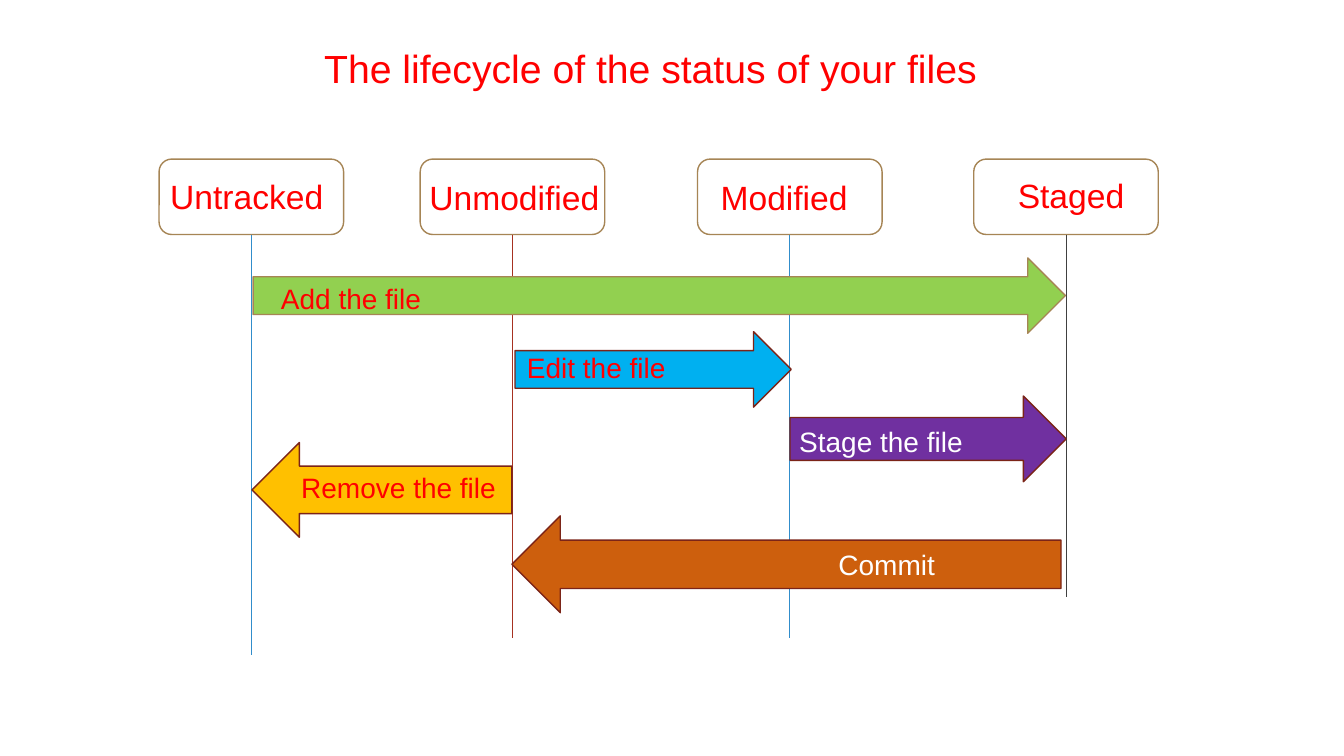
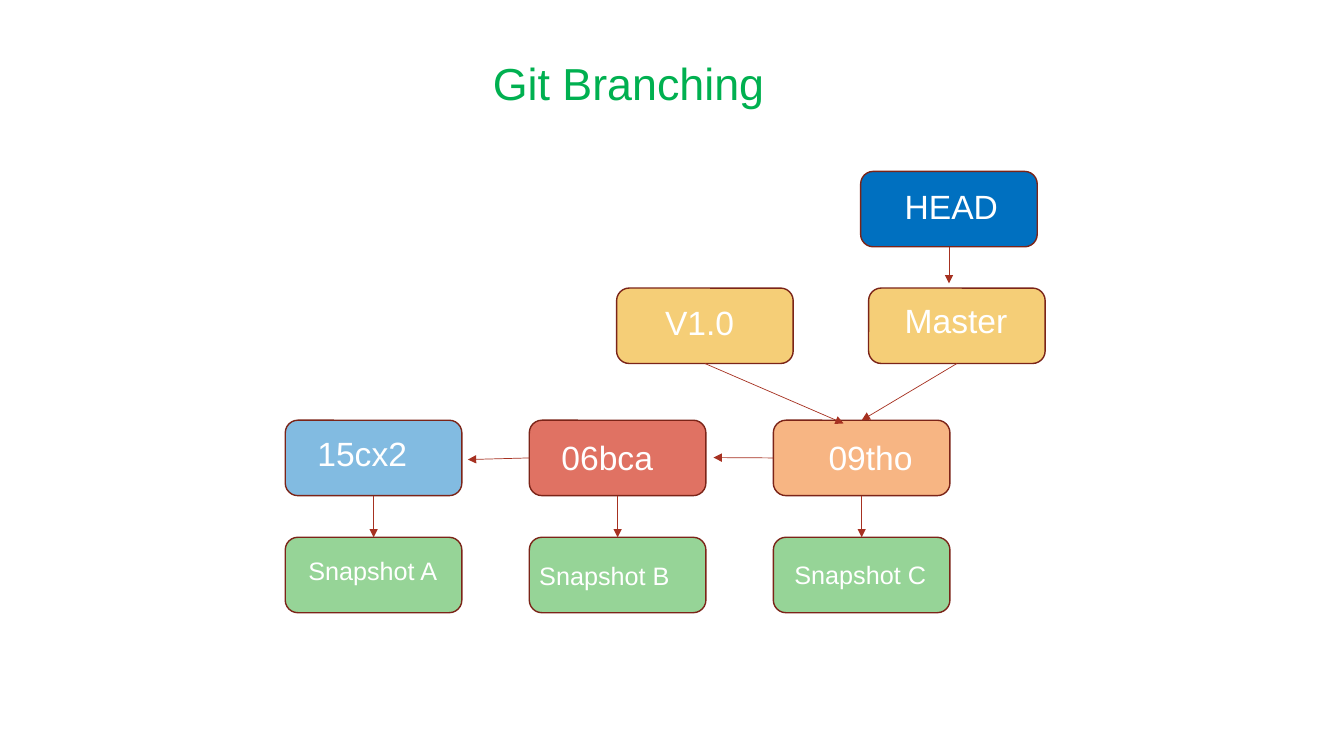
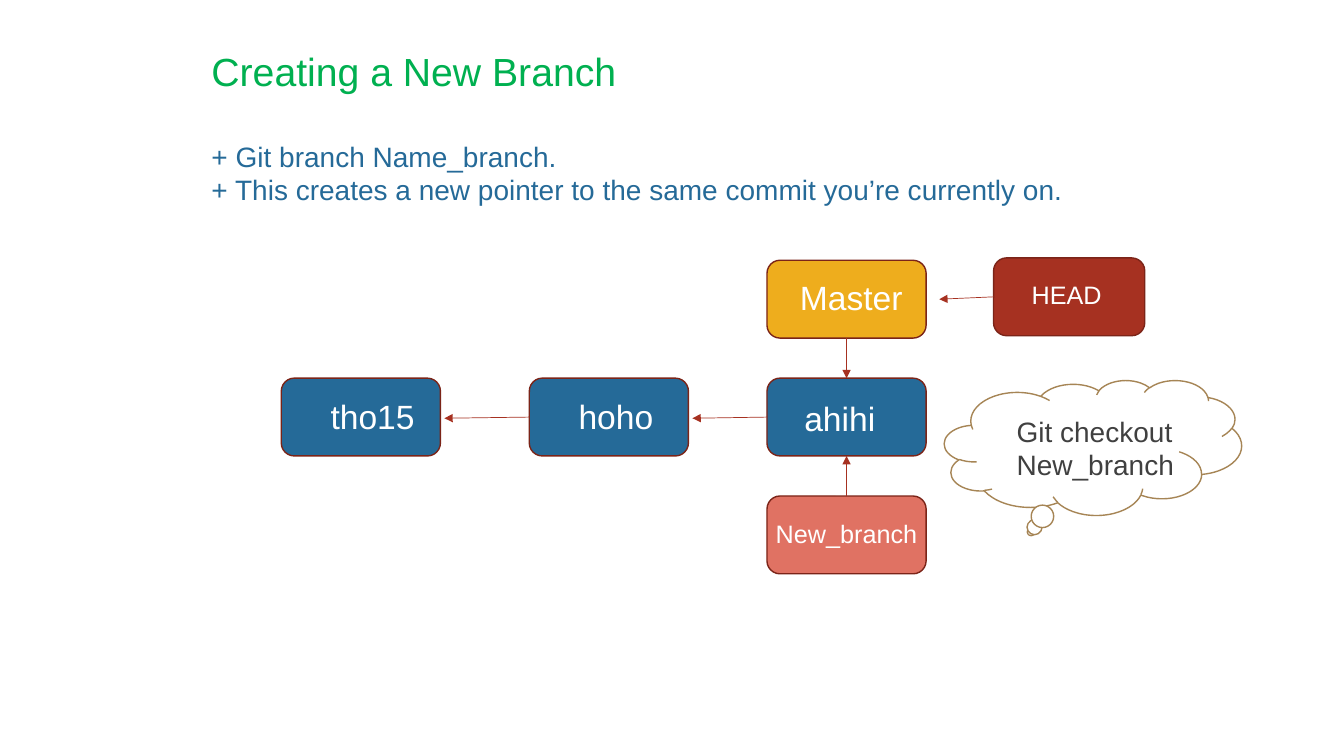
from dataclasses import dataclass

from lxml.etree import SubElement
from pptx import Presentation
from pptx.dml.color import RGBColor
from pptx.enum.shapes import MSO_CONNECTOR, MSO_SHAPE
from pptx.enum.text import MSO_AUTO_SIZE
from pptx.oxml.ns import qn
from pptx.slide import Slide
from pptx.util import Cm, Pt

FONT = "Arial"
WHITE, RED, GREEN, GREY = "FFFFFF", "FF0000", "00B050", "404040"
BLUE, SKY, BRICK = "256A98", "318DCB", "A63121"
CORAL, MINT, SAND = "E07263", "96D497", "F5CE77"
MAROON_EDGE, TAN_EDGE = "7B2418", "A68555"

Point = tuple[float, float]


@dataclass
class Box:
    """A rounded box in centimetres; its label is offset from the box corner."""
    label: str
    x: float
    y: float
    fill: str
    label_dx: float
    label_dy: float
    size: int = 24
    width: float = 4.45
    height: float = 1.9
    edge: str = MAROON_EDGE
    color: str = WHITE
    label_width: float = 0

    @property
    def top(self) -> Point:
        return self.x + self.width / 2, self.y

    @property
    def bottom(self) -> Point:
        return self.x + self.width / 2, self.y + self.height

    @property
    def left(self) -> Point:
        return self.x, self.y + self.height / 2


@dataclass
class BlockArrow:
    label: str
    x: float
    y: float
    width: float
    height: float
    fill: str
    label_x: float
    label_y: float
    color: str = RED
    kind: MSO_SHAPE = MSO_SHAPE.RIGHT_ARROW
    edge: str = MAROON_EDGE


def rgb(value: str) -> RGBColor:
    return RGBColor.from_string(value)


def add_text(page: Slide, lines: list[str], x: float, y: float, width: float,
             size: int, color: str, rows: int = 0) -> None:
    """Rows is the number of lines shown, when wrapping adds some."""
    height = 0.25 + (rows or len(lines)) * size * 0.0425
    frame = page.shapes.add_textbox(Cm(x), Cm(y), Cm(width), Cm(height)).text_frame
    frame.word_wrap = True
    frame.auto_size = MSO_AUTO_SIZE.SHAPE_TO_FIT_TEXT
    font_format = {"name": FONT, "size": Pt(size)}
    for index, line in enumerate(lines):
        para = frame.add_paragraph() if index else frame.paragraphs[0]
        span = para.add_run()
        span.text = line
        for name, value in font_format.items():
            setattr(span.font, name, value)
        span.font.color.rgb = rgb(color)


def add_title(page: Slide, text: str, x: float, y: float, width: float,
              color: str = GREEN, size: int = 28) -> None:
    add_text(page, [text], x, y, width, size, color)


def add_outlined(page: Slide, kind: MSO_SHAPE, x: float, y: float, width: float,
                 height: float, fill: str, edge: str) -> None:
    shape = page.shapes.add_shape(kind, Cm(x), Cm(y), Cm(width), Cm(height))
    shape.shadow.inherit = False
    shape.fill.solid()
    shape.fill.fore_color.rgb = rgb(fill)
    shape.line.color.rgb = rgb(edge)
    shape.line.width = Pt(1)


def add_boxes(page: Slide, boxes: list[Box]) -> None:
    for box in boxes:
        add_outlined(page, MSO_SHAPE.ROUNDED_RECTANGLE, box.x, box.y,
                     box.width, box.height, box.fill, box.edge)
    for box in boxes:
        add_text(page, [box.label], box.x + box.label_dx, box.y + box.label_dy,
                 box.label_width or box.width, box.size, box.color)


def add_line(page: Slide, start: Point, end: Point, color: str = BRICK,
             arrow: bool = True) -> None:
    line = page.shapes.add_connector(MSO_CONNECTOR.STRAIGHT, *map(Cm, start + end))
    line.line.color.rgb = rgb(color)
    line.line.width = Pt(0.5)
    properties = line._element.spPr
    if arrow:
        SubElement(properties.find(qn("a:ln")), qn("a:tailEnd"), type="triangle")
    SubElement(properties, qn("a:effectLst"))


def draw_lifecycle(page: Slide) -> None:
    add_title(page, "The lifecycle of the status of your files", 7.92, 0.99, 17.98, RED)
    states = [
        Box(label, x, 4.01, WHITE, dx, dy, width=4.65, edge=TAN_EDGE, color=RED,
            label_width=label_width)
        for label, x, dx, dy, label_width in [
            ("Untracked", 4.01, 0.03, 0.31, 4.65),
            ("Unmodified", 10.59, -0.02, 0.33, 5.08),
            ("Modified", 17.58, 0.33, 0.33, 4.65),
            ("Staged", 24.54, 0.86, 0.28, 4.65),
        ]
    ]
    add_boxes(page, states)
    lifelines = [(SKY, 16.51), (BRICK, 16.08), (SKY, 16.08), (GREY, 15.04)]
    for state, (color, end_y) in zip(states, lifelines):
        add_line(page, state.bottom, (state.bottom[0], end_y), color, arrow=False)

    steps = [
        BlockArrow("Add the file", 6.38, 6.5, 20.47, 1.9, "92D050", 6.83, 6.96,
                   edge=TAN_EDGE),
        BlockArrow("Edit the file", 12.98, 8.36, 6.96, 1.9, "00B0F0", 13.03, 8.71),
        BlockArrow("Stage the file", 19.91, 9.98, 6.96, 2.16, "7030A0", 19.89, 10.57,
                   WHITE),
        BlockArrow("Remove the file", 6.35, 11.15, 6.55, 2.39, "FFC000", 7.34, 11.73,
                   kind=MSO_SHAPE.LEFT_ARROW),
        BlockArrow("Commit", 12.9, 13, 13.84, 2.44, "CD5F0D", 20.88, 13.67,
                   WHITE, MSO_SHAPE.LEFT_ARROW),
    ]
    for step in steps:
        add_outlined(page, step.kind, step.x, step.y, step.width, step.height,
                     step.fill, step.edge)
    for step in steps:
        add_text(page, [step.label], step.label_x, step.label_y, 6.63, 20, step.color)


def draw_branching(page: Slide) -> None:
    add_title(page, "Git Branching", 12.17, 1.27, 9.52, size=32)
    columns = [7.19 + 6.15 * index for index in range(3)]
    commit_y, snapshot_y, pointer_y = 10.59, 13.54, 7.26
    commits = [
        Box(label, x, commit_y, fill, dx, dy)
        for x, (label, fill, dx, dy) in zip(columns, [
            ("15cx2", "82BBE1", 0.56, 0.2),
            ("06bca", CORAL, 0.56, 0.3),
            ("09tho", "F7B583", 1.14, 0.3),
        ])
    ]
    snapshots = [
        Box(f"Snapshot {letter}", x, snapshot_y, MINT, dx, dy, 18)
        for x, (letter, dx, dy) in zip(columns, [
            ("A", 0.33, 0.33), ("B", 0, 0.46), ("C", 0.28, 0.43),
        ])
    ]
    version = Box("V1.0", 15.54, pointer_y, SAND, 0.97, 0.23)
    master = Box("Master", 21.89, pointer_y, SAND, 0.66, 0.18)
    head = Box("HEAD", 21.69, 4.32, "0070C0", 0.86, 0.25)
    add_boxes(page, commits + snapshots + [version, master, head])

    for commit, snapshot in zip(commits, snapshots):
        add_line(page, commit.bottom, snapshot.top)
    first, second, third = commits
    add_line(page, head.bottom, (head.bottom[0], 7.14))
    add_line(page, master.bottom, third.top)
    add_line(page, version.bottom, (21.26, 10.67))
    add_line(page, third.left, (17.98, 11.53))
    add_line(page, second.left, (11.79, 11.58))


def draw_new_branch(page: Slide) -> None:
    add_title(page, "Creating a New Branch", 5.08, 1.07, 11.86)
    add_text(page, [
        "+ Git branch Name_branch.",
        "+ This creates a new pointer to the same commit you’re currently on.",
    ], 5.08, 3.38, 22.63, 20, BLUE)

    size = {"width": 4.01, "height": 1.96}
    commit_y, row_step, branch_x = 9.53, 2.97, 19.33
    first = Box("tho15", 7.09, commit_y, BLUE, 0.99, 0.33, **size)
    second = Box("hoho", 13.34, commit_y, BLUE, 0.99, 0.33, **size)
    third = Box("ahihi", branch_x, commit_y, BLUE, 0.69, 0.38, **size)
    master = Box("Master", branch_x, commit_y - row_step, "EEAD1D", 0.58, 0.3, **size)
    new_branch = Box("New_branch", branch_x, commit_y + row_step, CORAL, -0.03, 0.43,
                     18, label_width=4.72, **size)
    head = Box("HEAD", 25.04, 6.5, BRICK, 0.71, 0.41, 18, 3.81, 1.96, label_width=3.1)
    add_boxes(page, [first, second, third, master, new_branch, head])

    for start, end in [
        (master.bottom, third.top),
        (new_branch.top, third.bottom),
        (third.left, (17.45, 10.54)),
        (second.left, (11.2, 10.54)),
        (head.left, (23.67, 7.54)),
    ]:
        add_line(page, start, end)

    add_outlined(page, MSO_SHAPE.CLOUD_CALLOUT, 23.8, 9.58, 7.49, 3.4, WHITE, TAN_EDGE)
    add_text(page, ["Git checkout New_branch"], 25.37, 10.31, 4.72, 20, GREY, rows=2)


def main() -> None:
    deck = Presentation()
    deck.slide_width, deck.slide_height = Cm(33.87), Cm(19.05)
    blank = deck.slide_layouts[6]
    for draw in (draw_lifecycle, draw_branching, draw_new_branch):
        draw(deck.slides.add_slide(blank))
    deck.save("out.pptx")


if __name__ == "__main__":
    main()
